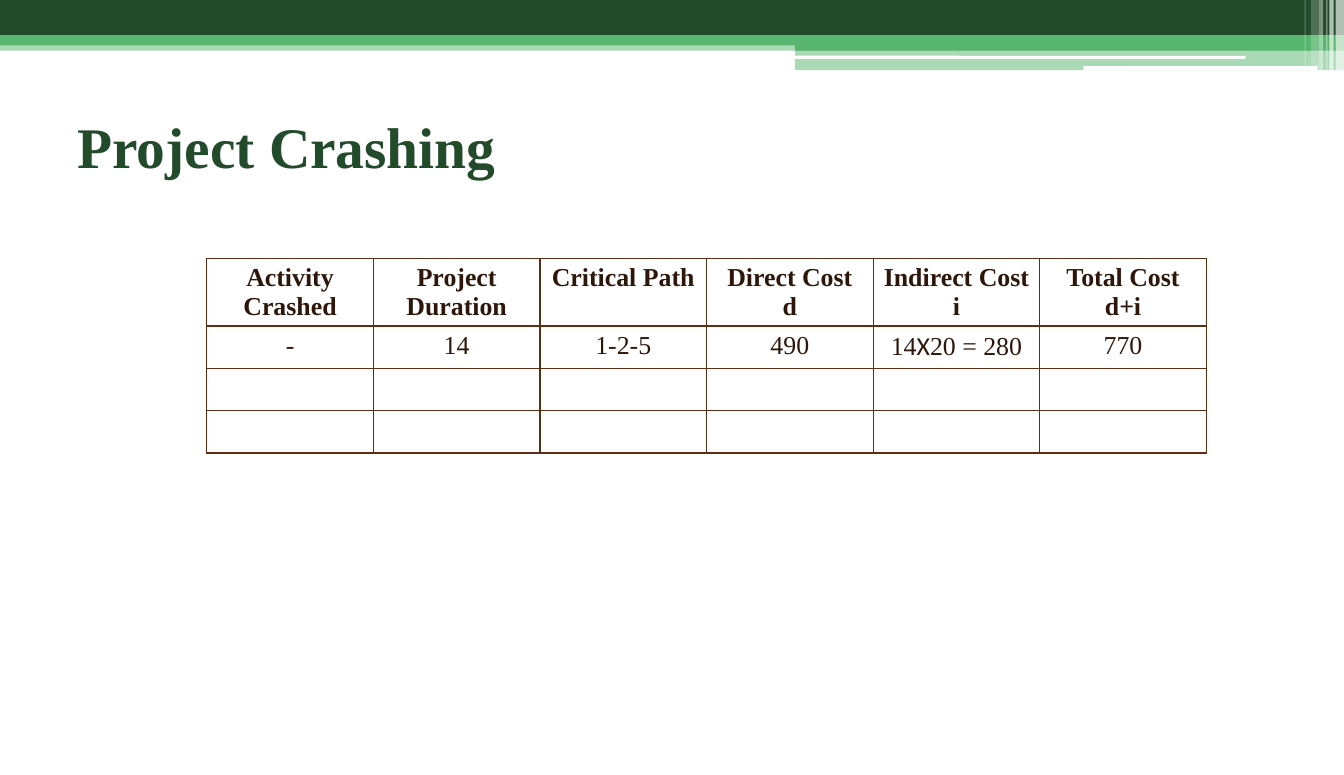
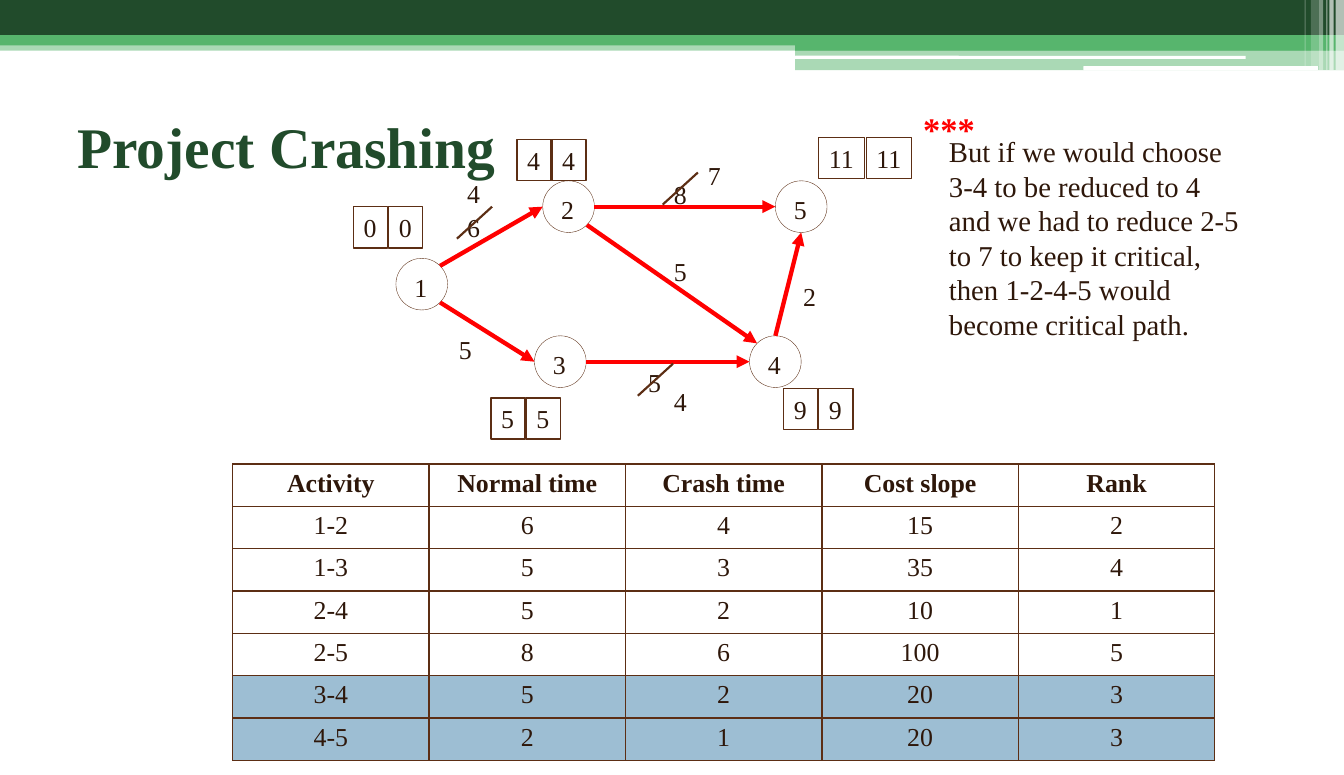
from math import cos, radians, sin

from lxml.etree import SubElement
from pptx import Presentation
from pptx.dml.color import RGBColor
from pptx.enum.shapes import MSO_CONNECTOR, MSO_SHAPE
from pptx.enum.text import MSO_ANCHOR, MSO_AUTO_SIZE, PP_ALIGN
from pptx.oxml.ns import qn
from pptx.util import Inches, Pt

GREEN, LEAF, WHITE = "214B2B", "57B56D", "FFFFFF"
BROWN, INK, RED, BLUE = "5C2E14", "2E170A", "FF0000", "9DBED3"
SERIF = "Times New Roman"
RECT, ROUND, OVAL = MSO_SHAPE.RECTANGLE, MSO_SHAPE.ROUNDED_RECTANGLE, MSO_SHAPE.OVAL

BANDS = [
    (RECT, 0, 0.4, 13, 0.09, LEAF, 50),
    (RECT, 0, 0, 13, 0.34, GREEN, 100),
    (RECT, 0, 0.34, 13, 0.1, LEAF, 100),
    (RECT, 7.69, 0.39, 5.31, 0.1, LEAF, 100),
    (RECT, 7.69, 0.48, 5.31, 0.2, LEAF, 50),
    (ROUND, 7.69, 0.54, 4.36, 0.03, WHITE, 100),
    (ROUND, 10.48, 0.64, 2.27, 0.04, WHITE, 100),
    (RECT, 12.92, 0, 0.08, 0.68, WHITE, 65),
    (RECT, 12.86, 0, 0.04, 0.68, WHITE, 65),
    (RECT, 12.83, 0, 0.01, 0.68, WHITE, 60),
    (RECT, 12.76, 0, 0.04, 0.68, WHITE, 40),
    (RECT, 12.68, 0, 0.08, 0.64, WHITE, 20),
    (RECT, 12.62, 0, 0.01, 0.64, WHITE, 30),
]
COSTS = [
    ["Activity Crashed", "Project Duration", "Critical Path",
     "Direct Cost\nd", "Indirect Cost\ni", "Total Cost\nd+i"],
    ["-", "14", "1-2-5", "490", "14X20 = 280", "770"],
    [""] * 6,
    [""] * 6,
]
TIMES = [
    ["Activity", "Normal time", "Crash time", "Cost slope", "Rank"],
    ["1-2", "6", "4", "15", "2"],
    ["1-3", "5", "3", "35", "4"],
    ["2-4", "5", "2", "10", "1"],
    ["2-5", "8", "6", "100", "5"],
    ["3-4", "5", "2", "20", "3"],
    ["4-5", "2", "1", "20", "3"],
]
NODES = {
    "1": (0.41, 1.17), "2": (1.83, 0.42), "5": (4.08, 0.42),
    "4": (3.83, 1.92), "3": (1.75, 1.92),
}
ARROWS = [
    ("1", -45, "2", 180), ("2", 0, "5", 180), ("1", 45, "3", 180),
    ("3", 0, "4", 180), ("2", 45, "4", 225), ("4", -90, "5", 90),
]
LABELS = [
    ("6", 1, 0.67), ("5", 3, 1.1), ("8", 3, 0.35),
    ("2", 4.25, 1.34), ("5", 2.75, 2.17), ("5", 0.92, 1.85),
    ("4", 1, 0.34), ("7", 3.33, 0.17), ("4", 3, 2.35),
]
PAIRS = [
    ("0", 0, 0.67), ("4", 1.58, 0.02), ("11", 4.5, 0),
    ("5", 1.33, 2.52), ("9", 4.16, 2.43),
]
STRIKES = [(1, 0.67), (2.75, 2.19), (2.99, 0.34)]
NOTE = ("But if we would choose 3-4 to be reduced to 4 and we had to reduce 2-5 "
        "to 7 to keep it critical, then 1-2-4-5 would become critical path.")


def paint(part, color):
    part.solid()
    part.fore_color.rgb = RGBColor.from_string(color)


def style(para, size=18, color=INK, bold=False, align=PP_ALIGN.LEFT):
    para.alignment = align
    font = para.font
    font.name, font.size, font.bold = SERIF, Pt(size), bold
    font.color.rgb = RGBColor.from_string(color)


def add_box(slide, kind, x, y, w, h, fill=None, line=None, width=1):
    box = slide.shapes.add_shape(kind, Inches(x), Inches(y), Inches(w), Inches(h))
    box.shadow.inherit = False
    if fill:
        paint(box.fill, fill)
    else:
        box.fill.background()
    if line:
        paint(box.line.fill, line)
        box.line.width = Pt(width)
    else:
        box.line.fill.background()
    return box


def write(box, text, wrap=False, **look):
    frame = box.text_frame
    frame.text = text
    frame.word_wrap = wrap
    frame.auto_size = MSO_AUTO_SIZE.SHAPE_TO_FIT_TEXT
    style(frame.paragraphs[0], **look)


def add_text(slide, text, x, y, w=0.33, h=0.4, **look):
    box = slide.shapes.add_textbox(Inches(x), Inches(y), Inches(w), Inches(h))
    write(box, text, **look)


def add_line(slide, start, end, color, width, arrow=False):
    points = [Inches(v) for v in (*start, *end)]
    link = slide.shapes.add_connector(MSO_CONNECTOR.STRAIGHT, *points)
    paint(link.line.fill, color)
    link.line.width = Pt(width)
    props = link.element.spPr
    if arrow:
        SubElement(props.find(qn("a:ln")), qn("a:tailEnd"), type="triangle")
    SubElement(props, qn("a:effectLst"))


def add_bands(slide):
    tree = slide.slide_layout.element.cSld.spTree
    for kind, x, y, w, h, color, alpha in BANDS:
        band = add_box(slide, kind, x, y, w, h, fill=color)
        if alpha < 100:
            tint = next(band.element.spPr.iter(qn("a:srgbClr")))
            SubElement(tint, qn("a:alpha"), val=str(alpha * 1000))
        tree.append(band.element)


def add_title(slide, text, x=0.65, y=0.95, w=11.7, h=1.17):
    title = slide.shapes.title
    title.left, title.top = Inches(x), Inches(y)
    title.width, title.height = Inches(w), Inches(h)
    frame = title.text_frame
    frame.text = text
    frame.vertical_anchor = MSO_ANCHOR.TOP
    frame.margin_top = Inches(0.13)
    style(frame.paragraphs[0], 40, GREEN, True)


def add_edges(cell):
    props = cell._tc.get_or_add_tcPr()
    for side in ("lnL", "lnR", "lnT", "lnB"):
        edge = SubElement(props, qn("a:" + side), w=str(Pt(1)))
        fill = SubElement(edge, qn("a:solidFill"))
        SubElement(fill, qn("a:srgbClr"), val=BROWN)


def add_grid(slide, rows, x, y, w, head=0.41, fills=None):
    high, wide = len(rows), len(rows[0])
    step = 0.41
    total = head + step * (high - 1)
    grid = slide.shapes.add_table(
        high, wide, Inches(x), Inches(y), Inches(w), Inches(total)).table
    grid.first_row = grid.horz_banding = False
    for col in grid.columns:
        col.width = Inches(w / wide)
    for r, row in enumerate(rows):
        grid.rows[r].height = Inches(step if r else head)
        for c, text in enumerate(row):
            cell = grid.cell(r, c)
            add_edges(cell)
            if fills:
                paint(cell.fill, fills[r])
            else:
                cell.fill.background()
            cell.text = text
            for para in cell.text_frame.paragraphs:
                style(para, bold=r == 0, align=PP_ALIGN.CENTER)
    return grid


def add_net(slide, x, y):
    size = 0.5

    def rim(name, angle):
        left, top = NODES[name]
        turn, half = radians(angle), size / 2
        return x + left + half * (1 + cos(turn)), y + top + half * (1 + sin(turn))

    for name, (left, top) in NODES.items():
        add_box(slide, OVAL, x + left, y + top, size, size, line=BROWN, width=0.25)
        add_text(slide, name, x + left + 0.08, y + top + 0.08)
    for tail, out, head, into in ARROWS:
        add_line(slide, rim(tail, out), rim(head, into), RED, 3, arrow=True)
    for text, left, top in LABELS:
        add_text(slide, text, x + left, y + top)
    for text, left, top in PAIRS:
        w, step = (0.44, 0.46) if len(text) > 1 else (0.33, 0.34)
        for i in range(2):
            box = add_box(slide, RECT, x + left + i * step, y + top, w, 0.4, line=BROWN)
            write(box, text)
    for left, top in STRIKES:
        add_line(slide, (x + left + 0.34, y + top),
                 (x + left, y + top + 0.31), BROWN, 1.5)


def add_note(slide, x, y):
    add_text(slide, NOTE, x + 0.25, y + 0.25, 3.08, 2.12, wrap=True, size=20)
    add_text(slide, "***", x, y, 0.71, 0.5, size=24, color=RED, bold=True)


def cost_slide(slide):
    add_title(slide, "Project Crashing")
    grid = add_grid(slide, COSTS, 2, 2.5, 9.67, head=0.65)
    para = grid.cell(1, 4).text_frame.paragraphs[0]
    para.runs[0].text = "14"
    for text, face in (("X", "Calibri"), ("20 = 280", SERIF)):
        run = para.add_run()
        run.text = text
        run.font.name = face


def path_slide(slide):
    add_title(slide, "Project Crashing")
    add_net(slide, 3.42, 1.33)
    add_grid(slide, TIMES, 2.25, 4.49, 9.5, fills=[WHITE] * 5 + [BLUE] * 2)
    add_note(slide, 8.83, 1)


def main():
    deck = Presentation()
    deck.slide_width, deck.slide_height = Inches(13), Inches(7.5)
    layout = deck.slide_layouts[5]
    first, second = [deck.slides.add_slide(layout) for _ in range(2)]
    add_bands(first)
    cost_slide(first)
    path_slide(second)
    deck.save("out.pptx")


if __name__ == "__main__":
    main()
